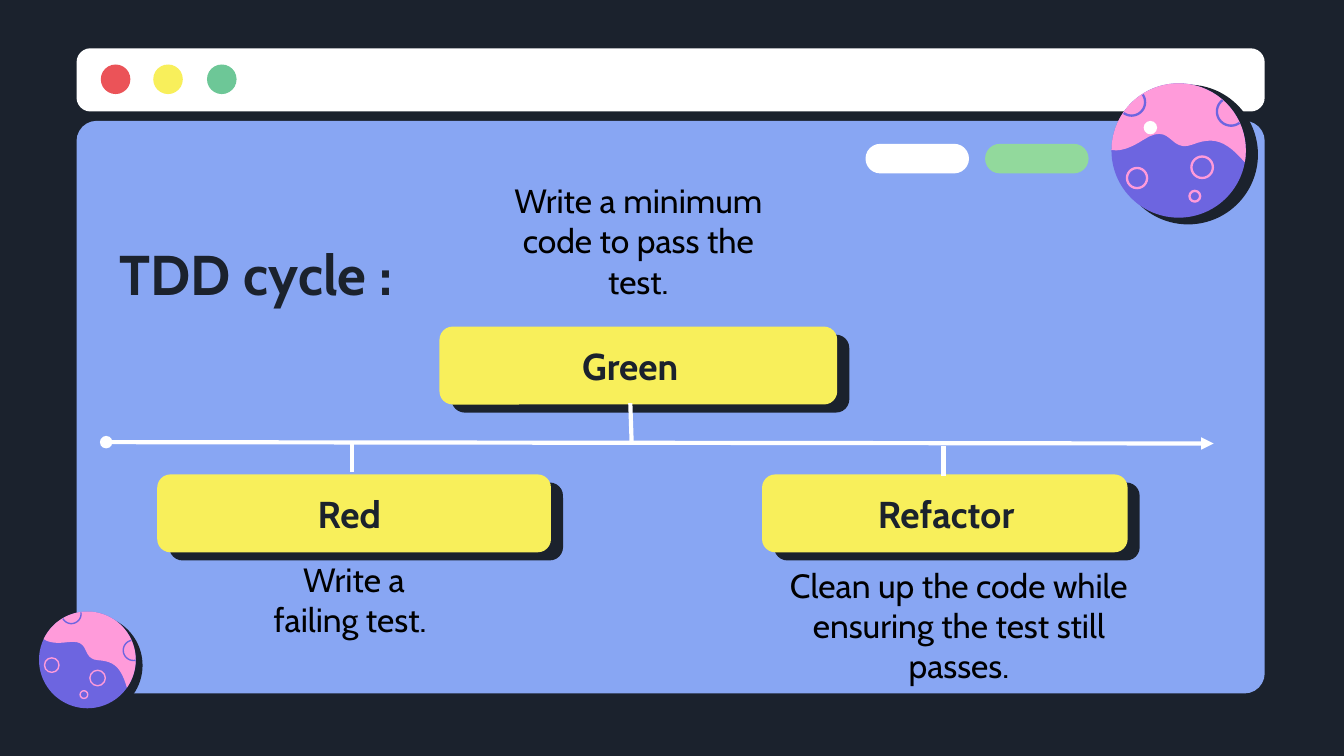
from math import atan2, cos, hypot, pi, radians, sin
from pptx import Presentation
from pptx import util as u
from pptx.dml.color import RGBColor
from pptx.enum import shapes as s, text as t
from pptx.oxml.ns import qn
from lxml import etree

# Content
INK, SKY, SUN, WHITE = "1B222D", "88A6F3", "F8EF5B", "FFFFFF"
PINK, PLUM = "FF9BDA", "6D65E0"
TITLE = "TDD cycle :"
# name, card (left, top, width), label (left, width), note, note box
STEPS = [
    ("Refactor", (5.67, 3.53, 2.72), (5.76, 2.56),
     "Clean up the code while ensuring the test still passes.", (5.67, 4.1, 2.93, 0.83)),
    ("Red", (1.17, 3.53, 2.93), (1.11, 2.98),
     " Write a failing test.", (1.86, 4.06, 1.49, 0.83)),
    ("Green", (3.27, 2.43, 2.96), (3.97, 1.44),
     "Write a minimum code to pass the test.", (3.7, 1.24, 2.1, 1.16)),
]
CARD_H = 0.58
STEMS = [(2.62, 3.51, 2.62, 3.28), (4.69, 3, 4.7, 3.3), (7.02, 3.54, 7.02, 3.32)]
AXIS = (0.79, 3.29, 9.03, 3.3)
BARS = [((0.57, 0.9, 8.84, 4.26), SKY, 0.035), ((0.57, 0.36, 8.84, 0.47), WHITE, 0.22),
        ((6.44, 1.07, 0.77, 0.22), WHITE, 0.5), ((7.33, 1.07, 0.77, 0.22), "92D99C", 0.5)]
DOTS = [(0.86, "EB5358"), (1.25, SUN), (1.65, "6DC797")]
# Planets: centre, radius, turn in degrees, ring width
PLANETS = [(8.77, 1.12, 0.5, 0, 1.25), (0.65, 4.91, 0.36, 25, 0.75)]
# Planet parts in units of its radius
WAVE = [(0.98, 0.17), (0.7, -0.15), (0.52, -0.21), (0.21, -0.09), (-0.15, 0.05),
        (-0.09, -0.45), (-0.54, -0.15), (-0.76, -0.01), (-0.9, 0.01), (-1, -0.01)]
CRATERS = [(-0.62, 0.41, 0.15), (0.35, 0.25, 0.16), (0.24, 0.68, 0.08)]
ARCS = [(-0.7, -0.72, 0.2), (0.78, -0.58, 0.21)]

prs = Presentation()
prs.slide_width = u.Inches(10)
prs.slide_height = prs.slide_width * 9 // 16
slide = prs.slides.add_slide(prs.slide_layouts[5])
parts = slide.shapes


def rgb(code):
    return RGBColor.from_string(code)


def paint(shape, fill=None, line=None, width=1):
    shape.shadow.inherit = False
    if fill:
        shape.fill.solid()
        shape.fill.fore_color.rgb = rgb(fill)
    else:
        shape.fill.background()
    if line:
        shape.line.color.rgb = rgb(line)
        shape.line.width = u.Pt(width)
    else:
        shape.line.fill.background()


def block(box, fill, adj):
    shape = parts.add_shape(s.MSO_SHAPE.ROUNDED_RECTANGLE, *map(u.Inches, box))
    shape.adjustments[0] = adj
    paint(shape, fill)


def disc(x, y, r, *look):
    box = (x - r, y - r, 2 * r, 2 * r)
    paint(parts.add_shape(s.MSO_SHAPE.OVAL, *map(u.Inches, box)), *look)


def trace(pts, close, *look):
    pts = [(u.Inches(x), u.Inches(y)) for x, y in pts]
    pen = parts.build_freeform(*pts[0])
    pen.add_line_segments(pts[1:], close=close)
    paint(pen.convert_to_shape(), *look)


def link(ends, **tips):
    wire = parts.add_connector(s.MSO_CONNECTOR.STRAIGHT, *map(u.Inches, ends))
    wire.line.color.rgb = rgb(WHITE)
    wire.line.width = u.Pt(2.25)
    for tag, kind in tips.items():
        etree.SubElement(wire.line._get_or_add_ln(), qn("a:" + tag), type=kind)
    etree.SubElement(wire._element.spPr, qn("a:effectLst"))


def write(frame, words, align, anchor, **font):
    form = dict(word_wrap=True, auto_size=t.MSO_AUTO_SIZE.NONE, vertical_anchor=anchor)
    form.update({"margin_" + side: u.Inches(0.1) for side in ("left", "right", "top", "bottom")})
    for key, val in form.items():
        setattr(frame, key, val)
    para = frame.paragraphs[0]
    para.alignment = align
    run = para.add_run()
    run.text = words
    run.font.color.rgb = rgb(font.pop("color"))
    for key, val in dict(font, name="Cabin").items():
        setattr(run.font, key, val)


def label(box, words, anchor, **font):
    frame = parts.add_textbox(*map(u.Inches, box)).text_frame
    write(frame, words, t.PP_ALIGN.CENTER, anchor, **font)


def curve(pts, n=12):
    """Points along a chain of cubic Bezier curves."""
    out = [pts[0]]
    for i in range(0, len(pts) - 1, 3):
        for k in range(1, n + 1):
            b = k / n
            a = 1 - b
            mix = (a**3, 3 * a * a * b, 3 * a * b * b, b**3)
            out.append(tuple(sum(m * p[d] for m, p in zip(mix, pts[i:i + 4])) for d in (0, 1)))
    return out


def planet(cx, cy, r, turn, width):
    c, d = cos(radians(turn)), sin(radians(turn))

    def spot(x, y):
        return cx + r * (x * c - y * d), cy + r * (x * d + y * c)

    disc(*spot(0.14, 0.06), r * 1.04, INK)
    disc(cx, cy, r, PLUM)
    rim = [(cos(radians(g)), sin(radians(g))) for g in range(180, 371, 5)]
    trace([spot(*p) for p in curve(WAVE) + rim], True, PINK)
    for x, y, size in CRATERS:
        disc(*spot(x, y), r * size, None, PINK, width)
    # Rings cut off by the rim
    for x, y, size in ARCS:
        base = atan2(y, x)
        ring = [(x + size * cos(base + k * pi / 36), y + size * sin(base + k * pi / 36))
                for k in range(73)]
        trace([spot(*p) for p in ring if hypot(*p) <= 1], False, None, PLUM, width)


# Window
slide.background.fill.solid()
slide.background.fill.fore_color.rgb = rgb(INK)
for bar in BARS:
    block(*bar)
for x, color in DOTS:
    disc(x, 0.59, 0.11, color)
for ball in PLANETS:
    planet(*ball)
disc(8.56, 0.95, 0.05, WHITE)

# Title, raised above the window
title = parts.title
for key, val in zip(("left", "top", "width", "height"), (0.79, 1.06, 2.69, 1.95)):
    setattr(title, key, u.Inches(val))
write(title.text_frame, TITLE, t.PP_ALIGN.LEFT, t.MSO_ANCHOR.MIDDLE,
      size=u.Pt(30), bold=True, color=INK)
parts._spTree.append(title._element)

# Steps
for name, (x, y, w), (left, wide), note, box in STEPS:
    block((x + 0.09, y + 0.06, w, CARD_H), INK, 0.17)
    block((x, y, w, CARD_H), SUN, 0.17)
    label((left, y, wide, CARD_H), name, t.MSO_ANCHOR.MIDDLE,
          size=u.Pt(20), bold=True, color=INK)
    label(box, note, t.MSO_ANCHOR.TOP, size=u.Pt(18), color="000000")

# Timeline
link(AXIS, headEnd="oval", tailEnd="triangle")
for stem in STEMS:
    link(stem)

prs.save("out.pptx")
